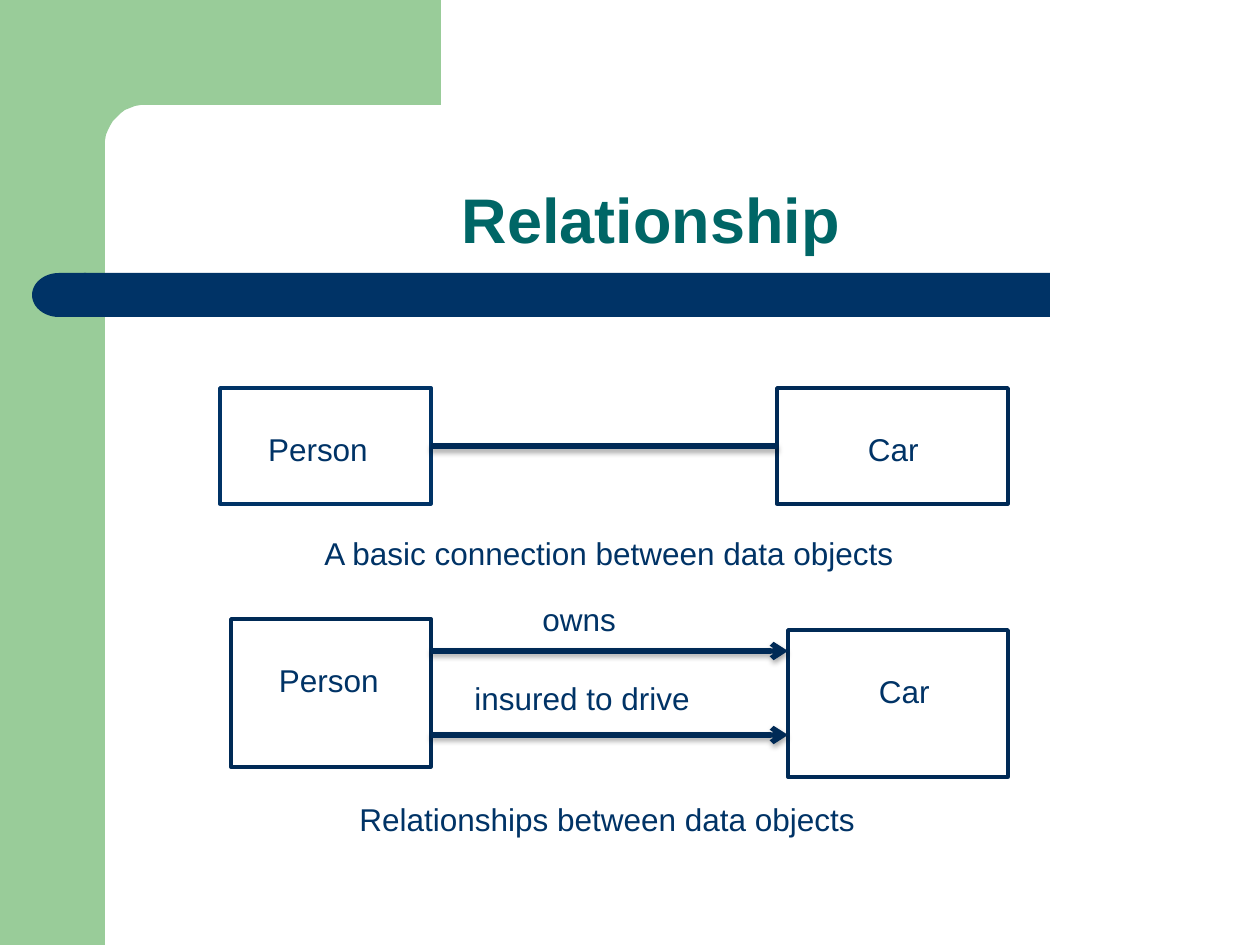
import math
from dataclasses import dataclass

import lxml.etree
import pptx
import pptx.util
from pptx.dml.color import RGBColor
from pptx.enum.shapes import MSO_CONNECTOR, MSO_SHAPE
from pptx.enum.text import MSO_ANCHOR, PP_ALIGN
from pptx.oxml.ns import qn


@dataclass(frozen=True)
class Theme:
    font: str = "Arial"
    green: str = "99CC99"
    navy: str = "003366"
    outline: str = "002A56"
    teal: str = "006666"
    white: str = "FFFFFF"
    title_size: int = 36
    body_size: int = 18
    box_line: int = 2
    link_line: int = 3


THEME = Theme()
EMU_PER_PX = 914400 / 126

TITLE = ("Relationship", (105, 105, 1092, 158))
ENTITIES = [
    ("Person", (220, 388, 211, 116), 48, THEME.navy),
    ("Car", (777, 388, 231, 116), 91, THEME.outline),
    ("Person", (231, 619, 200, 148), 48, THEME.outline),
    ("Car", (788, 630, 220, 147), 91, THEME.outline),
]
ENTITY_TEXT_TOP = 42
LINKS = [
    (431, 777, 446, False),
    (431, 788, 651, True),
    (431, 788, 735, True),
]
LABELS = [
    ("A basic connection between data objects", (312, 528, 630, 50)),
    ("Relationships between data objects", (347, 794, 546, 50)),
    ("owns", (530, 594, 100, 50)),
    ("insured to drive", (462, 673, 284, 50)),
]
SIDEBAR = (0, 0, 105, 945)
TITLE_BAR = (84, 273, 966, 44)
BAR_CAP = (32, 273, 54, 44)
CORNER_CENTER, CORNER_RADIUS = 146, 41


def px(value):
    return pptx.util.Emu(round(value * EMU_PER_PX))


def color(value):
    return RGBColor.from_string(value)


def paint(shape, fill, outline=None):
    shape.shadow.inherit = False
    shape.fill.solid()
    shape.fill.fore_color.rgb = color(fill)
    if outline:
        shape.line.color.rgb = color(outline)
        shape.line.width = pptx.util.Pt(THEME.box_line)
    else:
        shape.line.fill.background()


def add_block(slide, kind, bounds, fill, outline=None):
    shape = slide.shapes.add_shape(kind, *map(px, bounds))
    paint(shape, fill, outline)
    return shape


def write(shape, text, size=THEME.body_size, ink=THEME.navy, bold=False):
    frame = shape.text_frame
    frame.word_wrap = True
    frame.text = text
    paragraph = frame.paragraphs[0]
    paragraph.alignment = PP_ALIGN.LEFT
    font = paragraph.runs[0].font
    font.name, font.size, font.bold = THEME.font, pptx.util.Pt(size), bold
    font.color.rgb = color(ink)
    return paragraph


def add_corner(slide):
    angles = [math.radians(270 - step * 7.5) for step in range(13)]
    arc = [
        (CORNER_CENTER + CORNER_RADIUS * math.cos(angle),
         CORNER_CENTER + CORNER_RADIUS * math.sin(angle))
        for angle in angles
    ]
    points = [(441, 105), *arc, (105, 161), (63, 161), (63, 0)]
    builder = slide.shapes.build_freeform(441, 0, scale=EMU_PER_PX)
    builder.add_line_segments(points, close=True)
    paint(builder.convert_to_shape(), THEME.green)


def add_link(slide, left, right, y, arrow):
    link = slide.shapes.add_connector(
        MSO_CONNECTOR.STRAIGHT, px(left), px(y), px(right), px(y))
    link.line.color.rgb = color(THEME.outline)
    link.line.width = pptx.util.Pt(THEME.link_line)
    if arrow:
        line = link.line._get_or_add_ln()
        lxml.etree.SubElement(line, qn("a:tailEnd"), type="arrow")
    effects = lxml.etree.SubElement(link._element.spPr, qn("a:effectLst"))
    shadow = lxml.etree.SubElement(
        effects, qn("a:outerShdw"), blurRad=str(pptx.util.Pt(3.1)),
        dist=str(pptx.util.Pt(1.8)), dir="5400000", rotWithShape="0")
    shade = lxml.etree.SubElement(shadow, qn("a:srgbClr"), val="000000")
    lxml.etree.SubElement(shade, qn("a:alpha"), val="35000")


def main():
    presentation = pptx.Presentation()
    presentation.slide_width, presentation.slide_height = px(1260), px(945)
    slide = presentation.slides.add_slide(presentation.slide_layouts[6])

    add_block(slide, MSO_SHAPE.RECTANGLE, SIDEBAR, THEME.green)
    add_corner(slide)
    add_block(slide, MSO_SHAPE.RECTANGLE, TITLE_BAR, THEME.navy)
    cap = add_block(slide, MSO_SHAPE.FLOWCHART_DELAY, BAR_CAP, THEME.navy)
    cap.rotation = 180

    text, bounds = TITLE
    title = slide.shapes.add_textbox(*map(px, bounds))
    title.text_frame.vertical_anchor = MSO_ANCHOR.BOTTOM
    paragraph = write(title, text, THEME.title_size, THEME.teal, True)
    paragraph.alignment = PP_ALIGN.CENTER
    paragraph.line_spacing = 0.9

    for text, bounds, indent, outline in ENTITIES:
        entity = add_block(slide, MSO_SHAPE.RECTANGLE, bounds, THEME.white, outline)
        write(entity, text)
        frame = entity.text_frame
        frame.vertical_anchor = MSO_ANCHOR.TOP
        frame.margin_left, frame.margin_top = px(indent), px(ENTITY_TEXT_TOP)

    for link in LINKS:
        add_link(slide, *link)
    for text, bounds in LABELS:
        write(slide.shapes.add_textbox(*map(px, bounds)), text)

    presentation.save("out.pptx")


if __name__ == "__main__":
    main()
